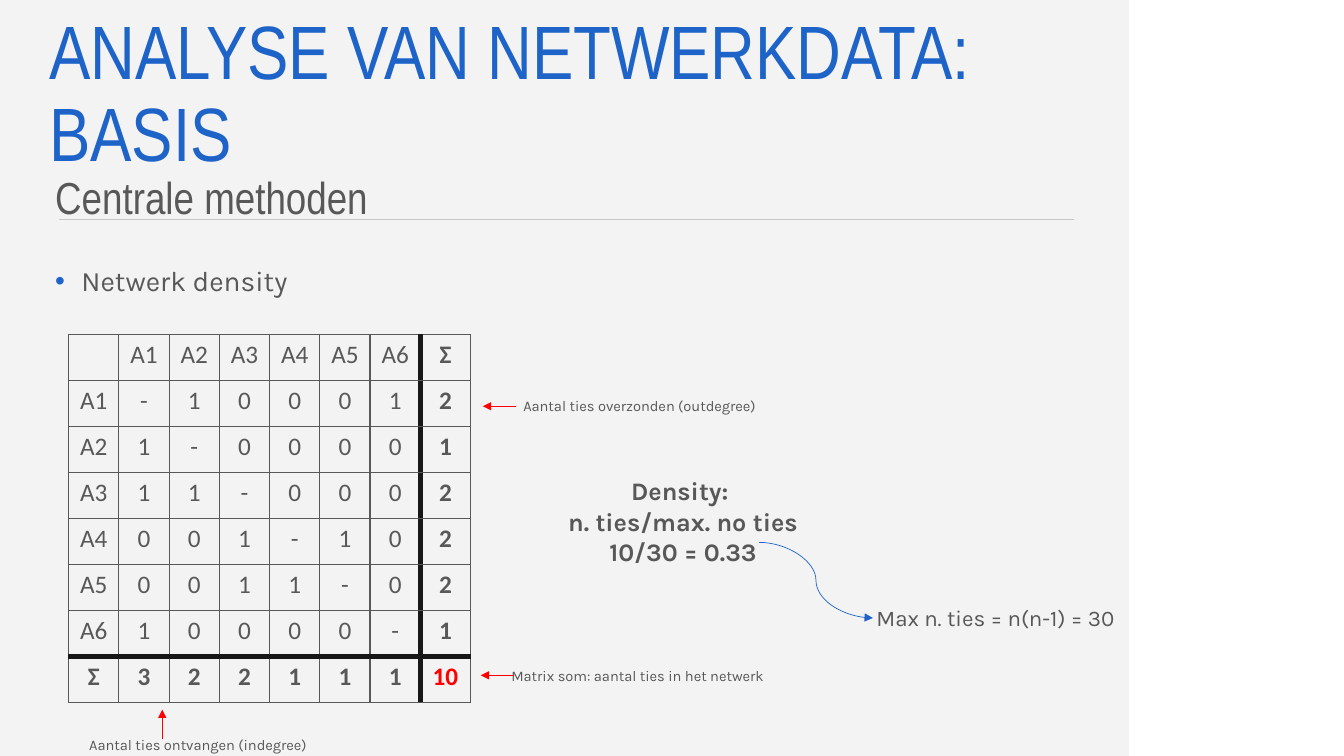
from lxml.etree import SubElement as Sub
from pptx import Presentation
from pptx.dml.color import RGBColor as Rgb
from pptx.enum.shapes import MSO_CONNECTOR as Conn, MSO_SHAPE as Kind
from pptx.enum.text import MSO_ANCHOR as Anchor, MSO_AUTO_SIZE as Auto, PP_ALIGN as Align
from pptx.oxml.ns import qn
from pptx.util import Pt

HEX = {"blue": "1E64C8", "gray": "585858", "panel": "F3F3F3", "rule": "C6C6C6",
       "black": "181717", "red": "FF0000"}

TITLE = "ANALYSE VAN NETWERKDATA: BASIS"
SUB = "Centrale methoden"
TOPIC = "Netwerk density"
TIES = [
    ["", "A1", "A2", "A3", "A4", "A5", "A6", "Σ"],
    ["A1", "-", "1", "0", "0", "0", "1", "2"],
    ["A2", "1", "-", "0", "0", "0", "0", "1"],
    ["A3", "1", "1", "-", "0", "0", "0", "2"],
    ["A4", "0", "0", "1", "-", "1", "0", "2"],
    ["A5", "0", "0", "1", "1", "-", "0", "2"],
    ["A6", "1", "0", "0", "0", "0", "-", "1"],
    ["Σ", "3", "2", "2", "1", "1", "1", "10"],
]
NOTES = [
    ((56.2, 522, 170.6, 20.5), ["Aantal ties ontvangen (indegree)"], 10.5, False),
    ((356.4, 280.1, 200.9, 20.5), ["Aantal ties overzonden (outdegree)"], 10.5, False),
    ((355, 473, 200.9, 20.5), ["Matrix som: aantal ties in het netwerk"], 10.5, False),
    ((387.4, 336.2, 200.9, 72.7), ["Density: ", "n. ties/max. no ties", "10/30 = 0.33"], 18, True),
    ((610.6, 427.7, 200.9, 26.6), ["Max n. ties = n(n-1) = 30"], 16, False),
]
LINES = [
    (Conn.STRAIGHT, (42.5, 157, 767.5, 157), "rule", False),
    (Conn.STRAIGHT, (115.9, 527.8, 115.9, 506.9), "red", True),
    (Conn.STRAIGHT, (368.6, 290.2, 344.9, 290.2), "red", True),
    (Conn.STRAIGHT, (367.2, 482.4, 343.4, 482.4), "red", True),
    (Conn.CURVE, (542.2, 387.4, 623.5, 441.4), "blue", True),
]
GRID = (49, 239, 287.3, 262.8)


def rgb(name):
    return Rgb.from_string(HEX[name])


def style(par, face, size, color="gray", bold=False):
    font = par.font
    font.name, font.size, font.bold = face, Pt(size), bold
    font.color.rgb = rgb(color)


def text(slide, box, lines):
    frame = slide.shapes.add_textbox(*map(Pt, box)).text_frame
    frame.word_wrap = True
    frame.text = "\n".join(lines)
    return frame


def bullet(par, color):
    props = par._p.get_or_add_pPr()
    props.set("marL", str(Pt(18.7)))
    props.set("indent", str(-Pt(18.7)))
    Sub(Sub(props, qn("a:buClr")), qn("a:srgbClr"), val=HEX[color])
    Sub(props, qn("a:buFont"), typeface="Arial")
    Sub(props, qn("a:buChar"), char="•")


def line(slide, kind, ends, color, arrow):
    link = slide.shapes.add_connector(kind, *map(Pt, ends))
    link.line.color.rgb = rgb(color)
    link.line.width = Pt(0.5)
    if arrow:
        Sub(link.line._get_or_add_ln(), qn("a:tailEnd"), type="triangle")
    Sub(link._element.spPr, qn("a:effectLst"))


def border(cell, heavy):
    props = cell._tc.get_or_add_tcPr()
    for side in "LRTB":
        thick = side in heavy
        edge = Sub(props, qn(f"a:ln{side}"), w=str(Pt(4.5 if thick else 1)))
        fill = Sub(edge, qn("a:solidFill"))
        Sub(fill, qn("a:srgbClr"), val=HEX["black" if thick else "gray"])


def matrix(slide):
    last = len(TIES) - 1
    table = slide.shapes.add_table(last + 1, last + 1, *map(Pt, GRID)).table
    table.first_row = table.horz_banding = False
    for col in table.columns:
        col.width = Pt(GRID[2] / (last + 1))
    for row in table.rows:
        row.height = Pt(GRID[3] / (last + 1))
    for i, vals in enumerate(TIES):
        for j, val in enumerate(vals):
            cell = table.cell(i, j)
            cell.text = val
            par = cell.text_frame.paragraphs[0]
            par.alignment = Align.CENTER
            color = "red" if i == j == last else "gray"
            style(par, "Calibri", 18, color, last in (i, j))
            across = {last - 1: "R", last: "L"}.get(j, "")
            down = {last - 1: "B", last: "T"}.get(i, "")
            border(cell, across + down)
            cell.fill.background()


def main():
    """Build the network density slide."""
    deck = Presentation()
    deck.slide_width, deck.slide_height = Pt(960), Pt(540)
    slide = deck.slides.add_slide(deck.slide_layouts[6])

    panel = slide.shapes.add_shape(Kind.RECTANGLE, 0, 0, Pt(806.4), Pt(540))
    panel.shadow.inherit = False
    panel.fill.solid()
    panel.fill.fore_color.rgb = rgb("panel")
    panel.line.fill.background()

    head = text(slide, (28.1, 25.9, 738.7, 85.7), [TITLE])
    head.vertical_anchor = Anchor.MIDDLE
    par = head.paragraphs[0]
    par.line_spacing = 0.9
    style(par, "Arial Narrow", 54, "blue")

    par = text(slide, (32.4, 110.2, 734.4, 51.1), [SUB]).paragraphs[0]
    par.line_spacing = 1.2
    style(par, "Arial Narrow", 32)

    par = text(slide, (32.4, 180, 734.4, 351.4), [TOPIC]).paragraphs[0]
    par.line_spacing = 1.2
    bullet(par, "blue")
    style(par, "Karla", 20)

    matrix(slide)
    for box, lines, size, bold in NOTES:
        frame = text(slide, box, lines)
        frame.auto_size = Auto.SHAPE_TO_FIT_TEXT
        for par in frame.paragraphs:
            par.alignment = Align.CENTER
            style(par, "Karla", size, bold=bold)
    for item in LINES:
        line(slide, *item)
    deck.save("out.pptx")


if __name__ == "__main__":
    main()
